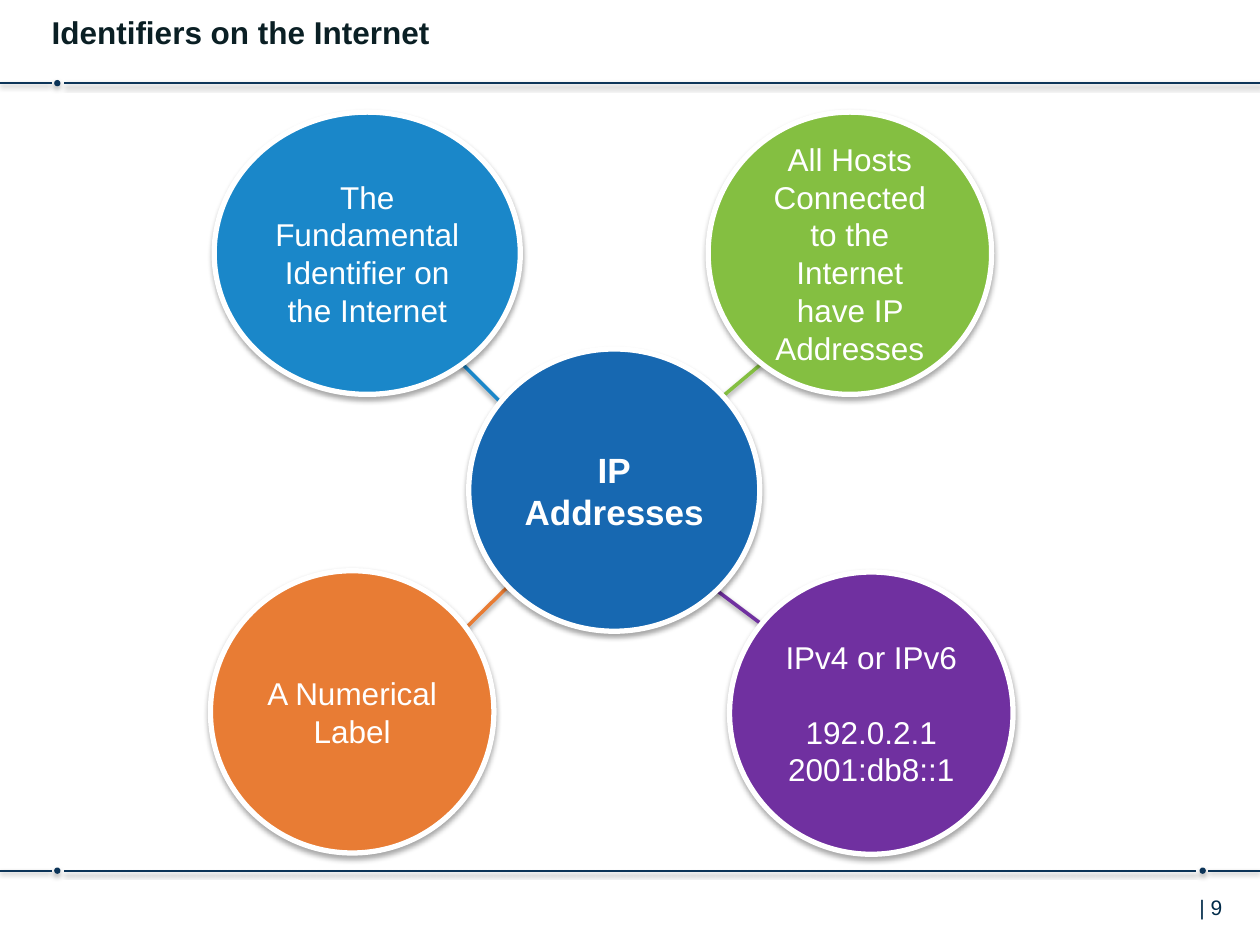
from lxml.etree import SubElement
from pptx import Presentation
from pptx.dml.color import RGBColor
from pptx.enum.shapes import MSO_CONNECTOR, MSO_SHAPE
from pptx.enum.text import MSO_ANCHOR, MSO_AUTO_SIZE, PP_ALIGN
from pptx.oxml.ns import qn
from pptx.util import Inches, Pt

NAVY = RGBColor(0x0C, 0x34, 0x58)
TITLE_INK = RGBColor(0x0A, 0x1F, 0x24)
NUMBER_INK = RGBColor(0x00, 0x2B, 0x49)
WHITE = RGBColor(0xFF, 0xFF, 0xFF)
HUB_BLUE = RGBColor(0x17, 0x68, 0xB1)
SKY = RGBColor(0x1A, 0x87, 0xC9)
PURPLE = RGBColor(0x70, 0x30, 0xA0)
GREEN = RGBColor(0x84, 0xBF, 0x41)
ORANGE = RGBColor(0xE8, 0x7C, 0x34)

FONT = "Arial"
CIRCLE_HEIGHT = 2.24
DOT = 0.05

# Start and end of each rule segment, and the left edge of each dot
HEADER_RULE = (0.66, [(0, 0.41), (0.51, 10)], [0.43])
FOOTER_RULE = (6.91, [(0, 0.41), (0.51, 9.49), (9.59, 10)], [0.43, 9.52])

SPOKES = [
    (3.67, 5.01, 4.16, 4.53, ORANGE),
    (5.48, 4.53, 6.04, 4.95, PURPLE),
    (5.48, 3.36, 6.04, 2.89, GREEN),
    (3.61, 2.83, 4.13, 3.35, SKY),
]

# Left, top, width, colour, paragraphs
FACTS = [
    (1.7, 0.89, 2.43, SKY, ["The Fundamental Identifier on the Internet"]),
    (5.79, 4.54, 2.25, PURPLE, ["IPv4 or IPv6", "192.0.2.1", "2001:db8::1"]),
    (5.62, 0.89, 2.25, GREEN,
     ["All Hosts Connected to the Internet have IP Addresses"]),
    (1.67, 4.53, 2.25, ORANGE, ["A Numerical Label"]),
]


def add_shadow(shape, distance, opacity):
    """Drop a soft black shadow straight down; call after the line is set."""
    effects = SubElement(shape._element.spPr, qn("a:effectLst"))
    shadow = SubElement(effects, qn("a:outerShdw"), blurRad=str(Pt(3.1)),
                        dist=str(Pt(distance)), dir="5400000", rotWithShape="0")
    black = SubElement(shadow, qn("a:srgbClr"), val="000000")
    SubElement(black, qn("a:alpha"), val=str(opacity * 1000))


def style_text(paragraph, size, color, bold=False):
    for run in paragraph.runs:
        run.font.name = FONT
        run.font.size = Pt(size)
        run.font.bold = bold
        run.font.color.rgb = color


def add_line(slide, x1, y1, x2, y2, color, width):
    line = slide.shapes.add_connector(
        MSO_CONNECTOR.STRAIGHT, Inches(x1), Inches(y1), Inches(x2), Inches(y2))
    line.line.color.rgb = color
    line.line.width = Pt(width)
    add_shadow(line, 1.6, 38)


def add_ellipse(slide, left, top, width, height, color, outline=None):
    ellipse = slide.shapes.add_shape(
        MSO_SHAPE.OVAL, Inches(left), Inches(top), Inches(width), Inches(height))
    ellipse.fill.solid()
    ellipse.fill.fore_color.rgb = color
    if outline is None:
        ellipse.line.fill.background()
    else:
        ellipse.line.color.rgb = outline
        ellipse.line.width = Pt(3)
    add_shadow(ellipse, 1.8, 35)
    return ellipse


def add_rule(slide, y, segments, dots):
    for left in dots:
        add_ellipse(slide, left, y - DOT / 2, DOT, DOT, NAVY)
    for start, end in segments:
        add_line(slide, start, y, end, y, NAVY, 1)


def add_circle(slide, left, top, width, color, lines, size=18, bold=False):
    circle = add_ellipse(slide, left, top, width, CIRCLE_HEIGHT, color, WHITE)
    frame = circle.text_frame
    frame.word_wrap = True
    frame.vertical_anchor = MSO_ANCHOR.MIDDLE
    frame.text = "\n".join(lines)
    for paragraph in frame.paragraphs:
        paragraph.alignment = PP_ALIGN.CENTER
        style_text(paragraph, size, WHITE, bold)
    return circle


def add_title(slide, text):
    title = slide.shapes.title
    title.left, title.top = Inches(0.41), Inches(0.05)
    title.width, title.height = Inches(8.76), Inches(0.49)
    frame = title.text_frame
    frame.text = text
    frame.auto_size = MSO_AUTO_SIZE.NONE
    frame.vertical_anchor = MSO_ANCHOR.TOP
    frame.margin_left = frame.margin_right = 0
    frame.paragraphs[0].alignment = PP_ALIGN.LEFT
    style_text(frame.paragraphs[0], 18, TITLE_INK, bold=True)


def add_page_number(slide, text):
    box = slide.shapes.add_textbox(
        Inches(9.42), Inches(7.05), Inches(0.58), Inches(0.4))
    box.text_frame.word_wrap = True
    box.text_frame.text = text
    style_text(box.text_frame.paragraphs[0], 12, NUMBER_INK)


def main():
    prs = Presentation()
    prs.slide_width, prs.slide_height = Inches(10), Inches(7.5)
    slide = prs.slides.add_slide(prs.slide_layouts[5])

    add_rule(slide, *HEADER_RULE)
    add_rule(slide, *FOOTER_RULE)
    add_page_number(slide, "| 9")
    add_title(slide, "Identifiers on the Internet")

    for spoke in SPOKES:
        add_line(slide, *spoke, 2)
    add_circle(slide, 3.72, 2.77, 2.31, HUB_BLUE, ["IP", "Addresses"], 20, True)
    for fact in FACTS:
        circle = add_circle(slide, *fact)
        paragraphs = circle.text_frame.paragraphs
        if len(paragraphs) > 1:
            # Set the sample addresses apart from their heading
            paragraphs[1].space_before = Pt(21)

    prs.save("out.pptx")


if __name__ == "__main__":
    main()
